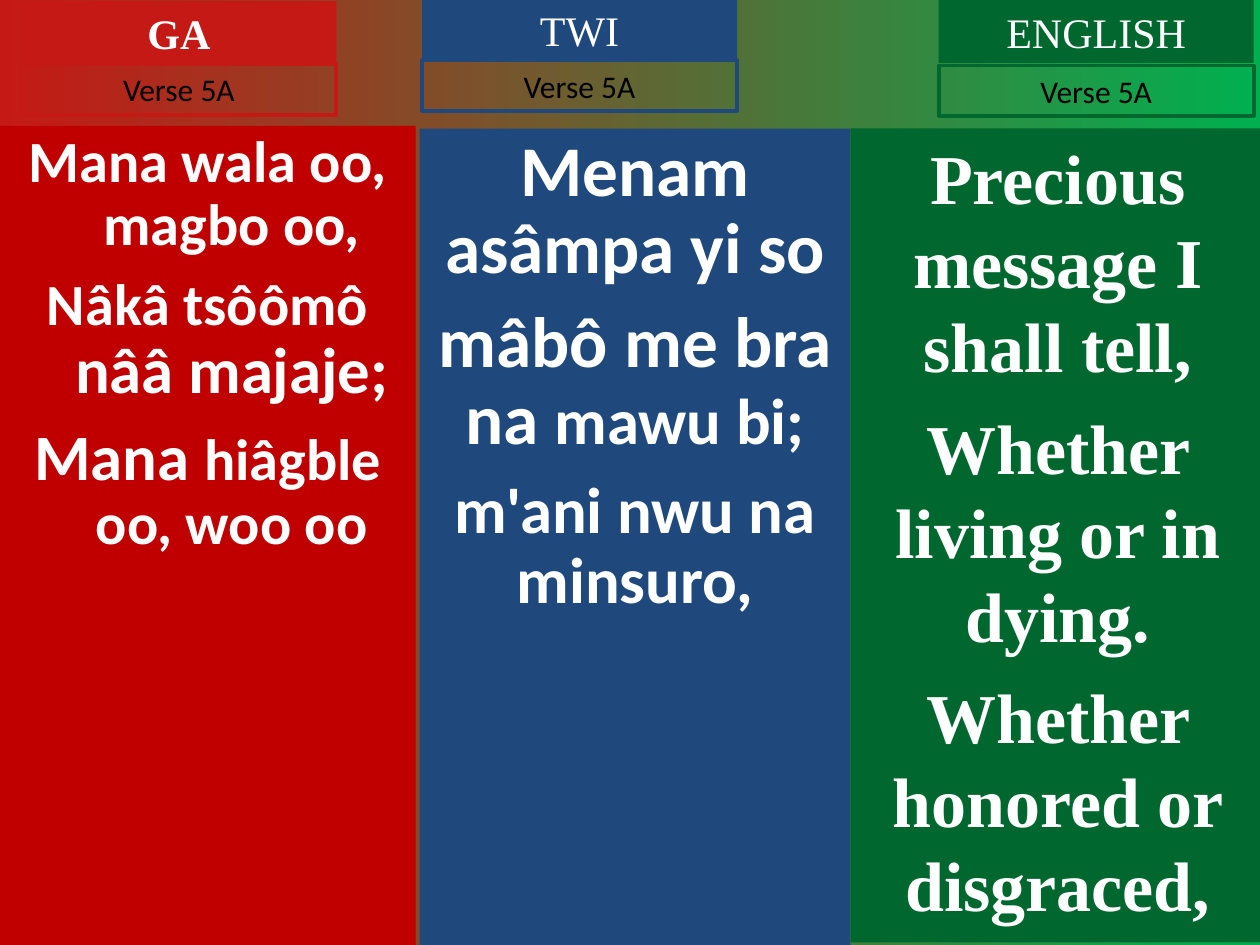
from pptx import Presentation
from pptx.dml.color import RGBColor
from pptx.enum.shapes import MSO_SHAPE as Shape
from pptx.enum.text import MSO_ANCHOR as Anchor, MSO_AUTO_SIZE as AutoSize, PP_ALIGN as Align
from pptx.util import Inches, Pt

WIDTH, HEIGHT = 10, 7.5
RED = RGBColor(0xC0, 0x00, 0x00)
BRIGHT_RED = RGBColor(0xC5, 0x19, 0x15)
BLUE = RGBColor(0x1F, 0x49, 0x7D)
GREEN = RGBColor(0x00, 0x68, 0x2F)
LIGHT_GREEN = RGBColor(0x00, 0xB0, 0x50)
WHITE = RGBColor(0xFF, 0xFF, 0xFF)
BLACK = RGBColor(0x00, 0x00, 0x00)
SANS, SERIF = "Calibri", "Times New Roman"

LABEL_WIDTH = WIDTH / 4
TITLE_HEIGHT, VERSE_HEIGHT = 0.5, 0.4

# Each lyric line is a list of (text, size) runs
GA_LINES = [
    [("Mana wala oo, magbo oo,", 33.3)],
    [("Nâkâ tsôômô ", 33.3), ("nââ majaje;", 37)],
    [("Mana ", 37), ("hiâgble oo, woo oo", 33.3)],
]
TWI_LINES = [
    [("Menam asâmpa yi so", 40.7)],
    [("mâbô me bra na ", 40.7), ("mawu bi;", 37)],
    [("m'ani nwu na minsuro,", 37)],
]
ENGLISH_LINES = [
    [("Precious message I shall tell,", 40)],
    [("Whether living or in dying.", 40)],
    [("Whether honored or disgraced,", 40)],
]


def paint_background(slide):
    fill = slide.background.fill
    fill.gradient()
    fill.gradient_angle = 0
    for stop, color, position in zip(fill.gradient_stops, (BRIGHT_RED, LIGHT_GREEN), (0, 1)):
        stop.color.rgb = color
        stop.position = position


def add_box(slide, left, top, width, height, fill=None, line=None):
    box = slide.shapes.add_shape(
        Shape.RECTANGLE, Inches(left), Inches(top), Inches(width), Inches(height))
    box.shadow.inherit = False
    if fill is None:
        box.fill.background()
    else:
        box.fill.solid()
        box.fill.fore_color.rgb = fill
    if line is None:
        box.line.fill.background()
    else:
        box.line.color.rgb = line
        box.line.width = Pt(2.25)
    return box


def write_text(box, lines, font=SANS, color=WHITE, bold=False, spacing=None,
               gap=0, hanging=0, grow=False):
    frame = box.text_frame
    frame.word_wrap = True
    frame.vertical_anchor = Anchor.TOP
    if grow:
        frame.auto_size = AutoSize.SHAPE_TO_FIT_TEXT
    for index, runs in enumerate(lines):
        paragraph = frame.add_paragraph() if index else frame.paragraphs[0]
        paragraph.alignment = Align.CENTER
        if spacing:
            paragraph.line_spacing = spacing
        if index and gap:
            paragraph.space_before = Pt(gap)
        if hanging:
            properties = paragraph._p.get_or_add_pPr()
            properties.set("marL", str(Inches(hanging)))
            properties.set("indent", str(-Inches(hanging)))
        for text, size in runs:
            run = paragraph.add_run()
            run.text = text
            run.font.size = Pt(size)
            run.font.name = font
            run.font.bold = bold
            run.font.color.rgb = color


def add_heading(slide, language, left, title_top, verse_top, color, bold=False):
    title = add_box(slide, left, title_top, LABEL_WIDTH, TITLE_HEIGHT, fill=color)
    write_text(title, [[(language, 24)]], font=SERIF, bold=bold, grow=True)
    verse = add_box(slide, left, verse_top, LABEL_WIDTH, VERSE_HEIGHT, line=color)
    write_text(verse, [[("Verse 5A", 18)]], color=BLACK, grow=True)


def main():
    deck = Presentation()
    deck.slide_width, deck.slide_height = Inches(WIDTH), Inches(HEIGHT)
    slide = deck.slides.add_slide(deck.slide_layouts[6])
    paint_background(slide)

    # Lyric columns
    ga = add_box(slide, 0, 1, 3.3, HEIGHT - 1, fill=RED)
    write_text(ga, GA_LINES, bold=True, spacing=0.9, gap=9.5, hanging=0.38)
    twi = add_box(slide, 3.33, 1.02, 3.42, HEIGHT - 1.02, fill=BLUE)
    write_text(twi, TWI_LINES, bold=True, spacing=0.9, gap=10)
    english = add_box(slide, 6.75, 1.02, 3.29, 6.46, fill=GREEN)
    write_text(english, ENGLISH_LINES, font=SERIF, bold=True, gap=10)

    # Language headings with verse labels
    add_heading(slide, "GA", 0.17, 0.01, 0.51, BRIGHT_RED, bold=True)
    add_heading(slide, "TWI", 3.35, -0.01, 0.48, BLUE)
    add_heading(slide, "ENGLISH", 7.45, 0, 0.52, GREEN)

    deck.save("out.pptx")


if __name__ == "__main__":
    main()
